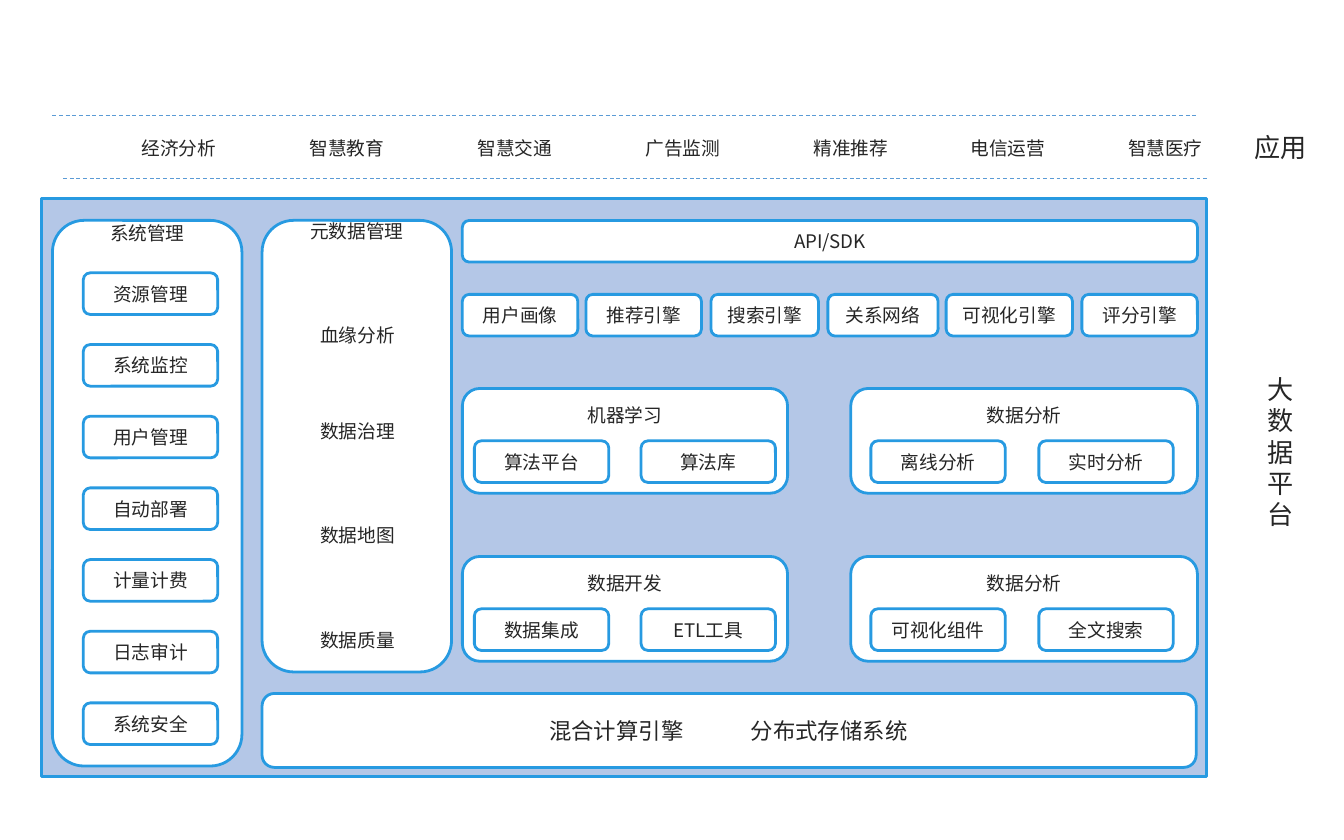
from dataclasses import dataclass

from lxml import etree
from pptx import Presentation
from pptx.dml.color import RGBColor
from pptx.enum.dml import MSO_LINE
from pptx.enum.shapes import MSO_CONNECTOR, MSO_SHAPE
from pptx.enum.text import MSO_ANCHOR, PP_ALIGN
from pptx.oxml.ns import qn
from pptx.util import Inches, Pt


@dataclass(frozen=True)
class Theme:
    font: str = "Noto Sans CJK SC"
    ink: RGBColor = RGBColor(0x26, 0x26, 0x26)
    white: RGBColor = RGBColor(0xFF, 0xFF, 0xFF)
    platform: RGBColor = RGBColor(0xB4, 0xC7, 0xE7)
    border: RGBColor = RGBColor(0x27, 0x9A, 0xE1)
    divider: RGBColor = RGBColor(0x5B, 0x9B, 0xD5)
    body: Pt = Pt(10)
    base: Pt = Pt(12)
    side: Pt = Pt(14)
    side_spacing: Pt = Pt(16.8)


theme = Theme()
deck = Presentation()
deck.slide_width, deck.slide_height = Inches(10), Inches(6.25)
slide = deck.slides.add_slide(deck.slide_layouts[6])


def write(shape, text, size=theme.body, top=None):
    frame = shape.text_frame
    frame.word_wrap = True
    frame.margin_left = frame.margin_right = frame.margin_top = frame.margin_bottom = 0
    frame.vertical_anchor = MSO_ANCHOR.MIDDLE
    if top is not None:
        frame.vertical_anchor = MSO_ANCHOR.TOP
        frame.margin_top = Inches(top)
    frame.text = text
    for paragraph in frame.paragraphs:
        paragraph.alignment = PP_ALIGN.CENTER
        paragraph.font.size = size
        paragraph.font.color.rgb = theme.ink
        paragraph.font.name = theme.font
        defaults = paragraph._p.pPr.find(qn("a:defRPr"))
        etree.SubElement(defaults, qn("a:ea")).set("typeface", theme.font)


def box(left, top, width, height, fill=theme.white, border=theme.border, kind=MSO_SHAPE.ROUNDED_RECTANGLE):
    shape = slide.shapes.add_shape(kind, Inches(left), Inches(top), Inches(width), Inches(height))
    shape.shadow.inherit = False
    if fill is None:
        shape.fill.background()
    else:
        shape.fill.solid()
        shape.fill.fore_color.rgb = fill
    if border is None:
        shape.line.fill.background()
    else:
        shape.line.color.rgb = border
        shape.line.width = Pt(1.5)
    return shape


ROW = 0.31
BUTTON = 1
LABEL = 0.78

box(0.31, 1.48, 8.67, 4.3, fill=theme.platform, kind=MSO_SHAPE.RECTANGLE)

write(box(0.39, 1.64, 1.41, 4.06), "系统管理", top=-0.06)
system_items = ["资源管理", "系统监控", "用户管理", "自动部署", "计量计费", "日志审计", "系统安全"]
for i, item in enumerate(system_items):
    write(box(0.62, 2.03 + i * 3.2 / 6, BUTTON, ROW), item)

write(box(1.95, 1.64, 1.41, 3.36), "元数据管理", top=-0.07)
for top, item in [(2.34, "血缘分析"), (3.05, "数据治理"), (3.83, "数据地图"), (4.61, "数据质量")]:
    write(box(2.27, top, LABEL, ROW, fill=None, border=None), item)

foundation = box(1.95, 5.16, 6.95, 0.55)
foundation.text_frame.text = "混合计算引擎\t分布式存储系统"
foundation_line = foundation.text_frame.paragraphs[0]
tab_stops = etree.SubElement(foundation_line._p.get_or_add_pPr(), qn("a:tabLst"))
etree.SubElement(tab_stops, qn("a:tab"), pos=str(Inches(1.45)), algn="l")
write(foundation, "混合计算引擎\t分布式存储系统", theme.base)
foundation_line = foundation.text_frame.paragraphs[0]
foundation_line.alignment = PP_ALIGN.LEFT
foundation.text_frame.margin_left = Inches(2.11)

write(box(3.44, 1.64, 5.47, ROW), "API/SDK")
engines = [
    (3.44, 0.86, "用户画像"),
    (4.36, 0.86, "推荐引擎"),
    (5.29, 0.8, "搜索引擎"),
    (6.16, 0.82, "关系网络"),
    (7.04, 0.94, "可视化引擎"),
    (8.05, 0.86, "评分引擎"),
]
for left, width, engine in engines:
    write(box(left, 2.19, width, ROW), engine)

modules = [
    (3.44, 2.89, 2.42, "机器学习", [(3.53, "算法平台"), (4.77, "算法库")]),
    (3.44, 4.14, 2.42, "数据开发", [(3.53, "数据集成"), (4.77, "ETL工具")]),
    (6.33, 2.89, 2.58, "数据分析", [(6.48, "离线分析"), (7.73, "实时分析")]),
    (6.33, 4.14, 2.58, "数据分析", [(6.48, "可视化组件"), (7.73, "全文搜索")]),
]
for left, top, width, module, tools in modules:
    write(box(left, top, width, 0.78), module, top=0.08)
    for tool_left, tool in tools:
        write(box(tool_left, top + 0.39, BUTTON, ROW), tool)

for start, end, y in [(0.39, 8.91, 0.86), (0.47, 8.98, 1.33)]:
    divider = slide.shapes.add_connector(MSO_CONNECTOR.STRAIGHT, Inches(start), Inches(y), Inches(end), Inches(y))
    divider.line.color.rgb = theme.divider
    divider.line.width = Pt(0.5)
    divider.line.dash_style = MSO_LINE.DASH
    etree.SubElement(divider._element.spPr, qn("a:effectLst"))

applications = ["经济分析", "智慧教育", "智慧交通", "广告监测", "精准推荐", "电信运营", "智慧医疗"]
application_lefts = [0.94 + 1.25 * i for i in range(5)] + [7.11, 8.28]
for left, application in zip(application_lefts, applications):
    write(box(left, 0.95, LABEL, ROW, border=None), application)

write(box(9.14, 0.94, LABEL, ROW, border=None), "应用", theme.side)
platform_name = box(9.14, 2.5, LABEL, 1.72, border=None)
write(platform_name, "\n".join("大数据平台"), theme.side)
for character in platform_name.text_frame.paragraphs:
    character.line_spacing = theme.side_spacing

deck.save("out.pptx")
